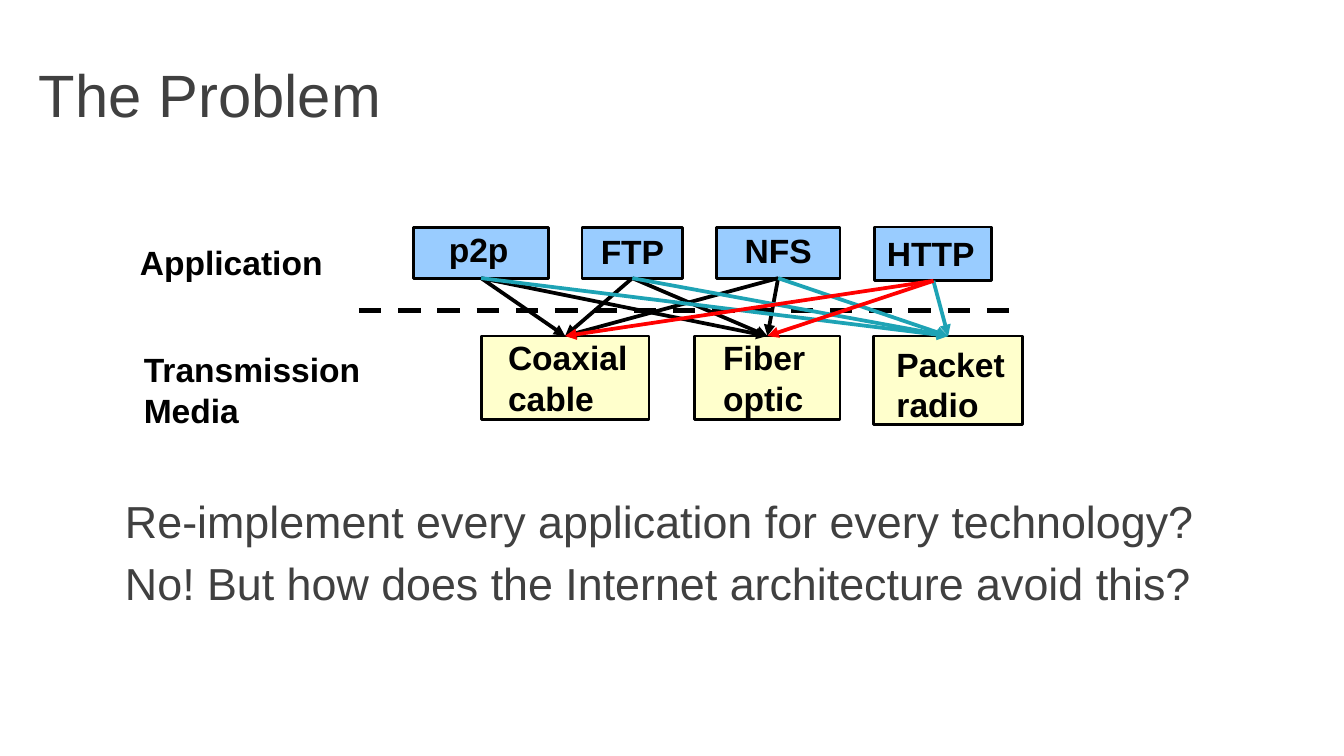
from dataclasses import dataclass

from lxml import etree
from pptx import Presentation
from pptx.dml.color import RGBColor
from pptx.enum.dml import MSO_LINE
from pptx.enum.shapes import MSO_CONNECTOR, MSO_SHAPE
from pptx.enum.text import MSO_ANCHOR, PP_ALIGN
from pptx.oxml.ns import qn
from pptx.util import Inches, Pt

RECTANGLE = MSO_SHAPE.RECTANGLE
STRAIGHT = MSO_CONNECTOR.STRAIGHT
DASH = MSO_LINE.DASH
TOP, MIDDLE = MSO_ANCHOR.TOP, MSO_ANCHOR.MIDDLE
LEFT = PP_ALIGN.LEFT
TOP_SITE, BOTTOM_SITE = 0, 2


@dataclass(frozen=True)
class Theme:
    font: str = "Arial"
    heading: str = "404040"
    black: str = "000000"
    application: str = "99CCFF"
    media: str = "FFFFCC"
    teal: str = "1EA3B5"
    red: str = "FF0000"
    title_size: int = 32
    body_size: int = 24
    label_size: int = 18


@dataclass(frozen=True)
class Box:
    left: float
    width: float
    height: float
    inset_left: float
    inset_top: float


THEME = Theme()
TITLE = "The Problem"
BODY = [
    "Re-implement every application for every technology?",
    "No! But how does the Internet architecture avoid this?",
]
APPLICATION_TOP, MEDIA_TOP = 1.69, 2.5
APPLICATIONS = {
    "p2p": Box(3.08, 1, 0.38, 0.26, 0.01),
    "FTP": Box(4.33, 0.75, 0.38, 0.14, 0.03),
    "NFS": Box(5.33, 0.92, 0.38, 0.21, 0.02),
    "HTTP": Box(6.51, 0.87, 0.4, 0.09, 0.04),
}
MEDIA = {
    "Coaxial\ncable": Box(3.58, 1.25, 0.62, 0.2, 0.01),
    "Fiber\noptic": Box(5.17, 1.08, 0.62, 0.21, 0.01),
    "Packet\nradio": Box(6.5, 1.11, 0.66, 0.17, 0.06),
}
LAYER_LABELS = [
    ("Application", 0.95, 1.76, 1.55, 0.39),
    ("Transmission\nMedia", 0.98, 2.56, 1.81, 0.7),
]
COAXIAL, FIBER, RADIO = MEDIA
ARROW_GROUPS = [
    (THEME.black, ["p2p", "FTP", "NFS"], [COAXIAL, FIBER]),
    (THEME.teal, list(APPLICATIONS), [RADIO]),
    (THEME.red, ["HTTP"], [COAXIAL, FIBER]),
]


def write(frame, text, size, color, bold=False, space_before=0):
    frame.text = text
    frame.word_wrap = True
    for paragraph in frame.paragraphs:
        paragraph.alignment = LEFT
        paragraph.space_before = Pt(space_before)
        font = paragraph.font
        font.name, font.size, font.bold = THEME.font, Pt(size), bold
        font.color.rgb = RGBColor.from_string(color)


def write_label(frame, text, inset_left, inset_top):
    write(frame, text, THEME.label_size, THEME.black, bold=True)
    frame.vertical_anchor = TOP
    frame.margin_left, frame.margin_top = Inches(inset_left), Inches(inset_top)
    frame.margin_right = frame.margin_bottom = 0


def place(shape, left, top, width, height):
    shape.left, shape.top = Inches(left), Inches(top)
    shape.width, shape.height = Inches(width), Inches(height)


def add_boxes(slide, boxes, top, fill):
    shapes = {}
    for name, box in boxes.items():
        shape = slide.shapes.add_shape(
            RECTANGLE, Inches(box.left), Inches(top), Inches(box.width), Inches(box.height))
        shape.shadow.inherit = False
        shape.fill.solid()
        shape.fill.fore_color.rgb = RGBColor.from_string(fill)
        shape.line.color.rgb = RGBColor.from_string(THEME.black)
        shape.line.width = Pt(1.5)
        write_label(shape.text_frame, name, box.inset_left, box.inset_top)
        shapes[name] = shape
    return shapes


def add_line(slide, color, width, start=(0, 0), end=(0, 0)):
    line = slide.shapes.add_connector(
        STRAIGHT, *(Inches(value) for value in (*start, *end)))
    line.line.color.rgb = RGBColor.from_string(color)
    line.line.width = Pt(width)
    etree.SubElement(line._element.spPr, qn("a:effectLst"))
    return line


def add_arrow(slide, color, source, target):
    arrow = add_line(slide, color, 2)
    arrow.begin_connect(source, BOTTOM_SITE)
    arrow.end_connect(target, TOP_SITE)
    etree.SubElement(arrow.line._get_or_add_ln(), qn("a:tailEnd"), type="triangle")


presentation = Presentation()
presentation.slide_width = Inches(10)
presentation.slide_height = Inches(10 * 9 / 16)
slide = presentation.slides.add_slide(presentation.slide_layouts[1])

title, body = slide.placeholders
place(title, 0.19, 0.23, 9.68, 0.94)
write(title.text_frame, TITLE, THEME.title_size, THEME.heading)
title.text_frame.vertical_anchor = MIDDLE

place(body, 0.83, 3.62, 8.67, 1.43)
write(body.text_frame, "\n".join(BODY), THEME.body_size, THEME.heading, space_before=4.8)
for paragraph in body.text_frame.paragraphs:
    properties = paragraph._p.get_or_add_pPr()
    properties.set("marL", "0")
    properties.set("indent", "0")
    etree.SubElement(properties, qn("a:buNone"))
    properties.append(properties.find(qn("a:defRPr")))

boxes = {
    **add_boxes(slide, APPLICATIONS, APPLICATION_TOP, THEME.application),
    **add_boxes(slide, MEDIA, MEDIA_TOP, THEME.media),
}
for text, *bounds in LAYER_LABELS:
    label = slide.shapes.add_textbox(*(Inches(value) for value in bounds))
    write_label(label.text_frame, text, 0.09, 0.04)

divider = add_line(slide, THEME.black, 3, (2.67, 2.31), (7.58, 2.31))
divider.line.dash_style = DASH

for color, sources, targets in ARROW_GROUPS:
    for source in sources:
        for target in targets:
            add_arrow(slide, color, boxes[source], boxes[target])

presentation.save("out.pptx")
